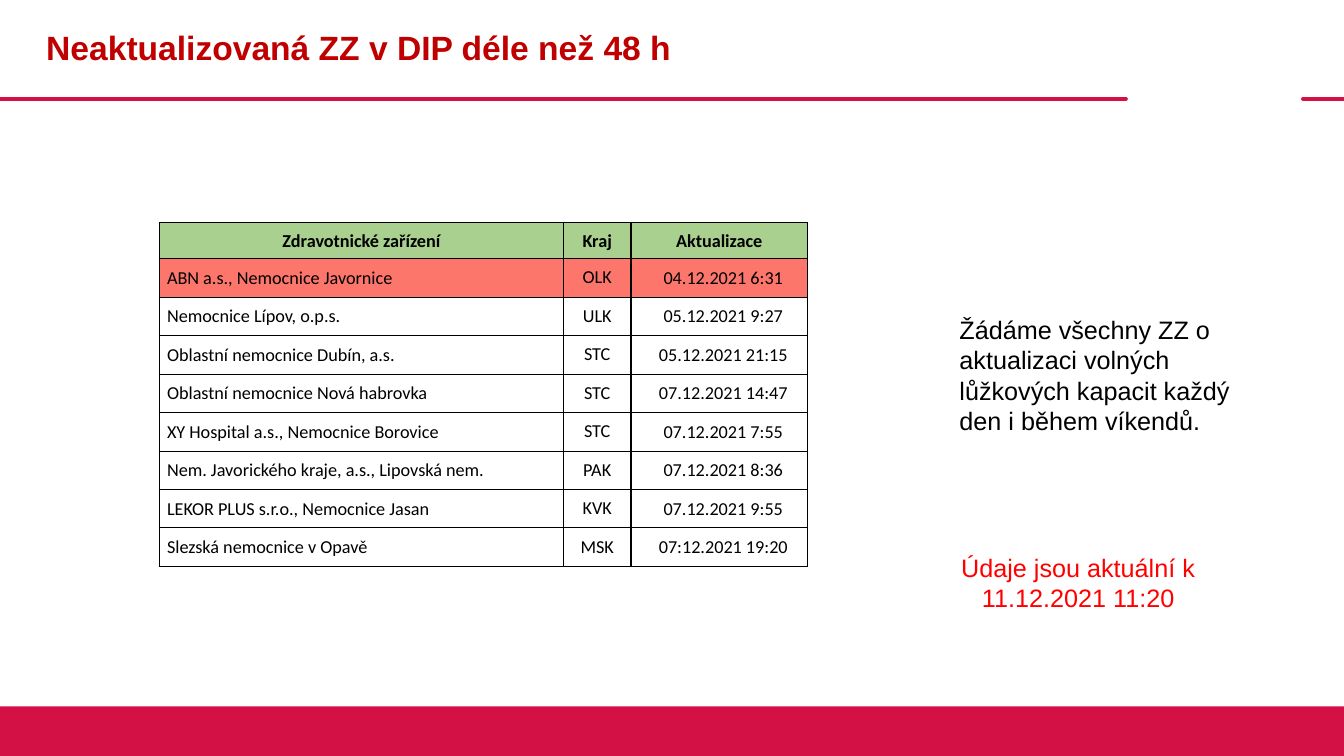
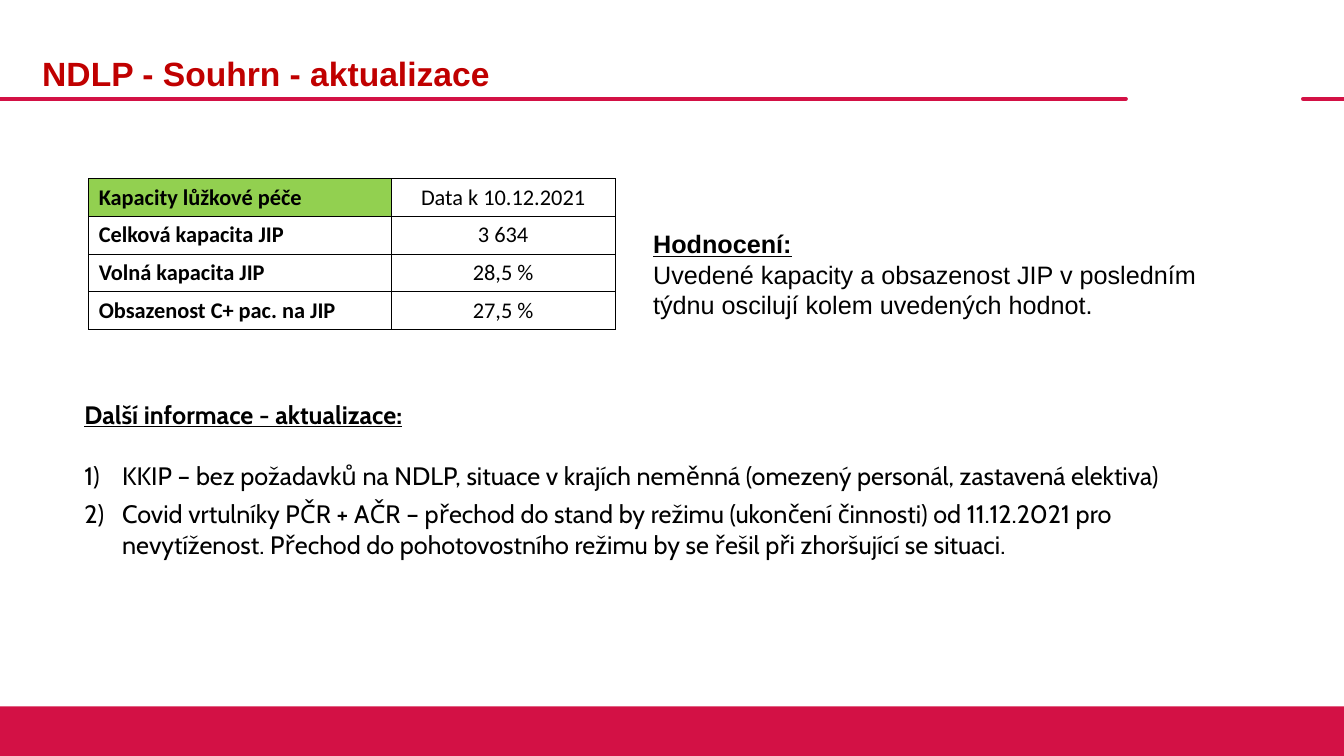
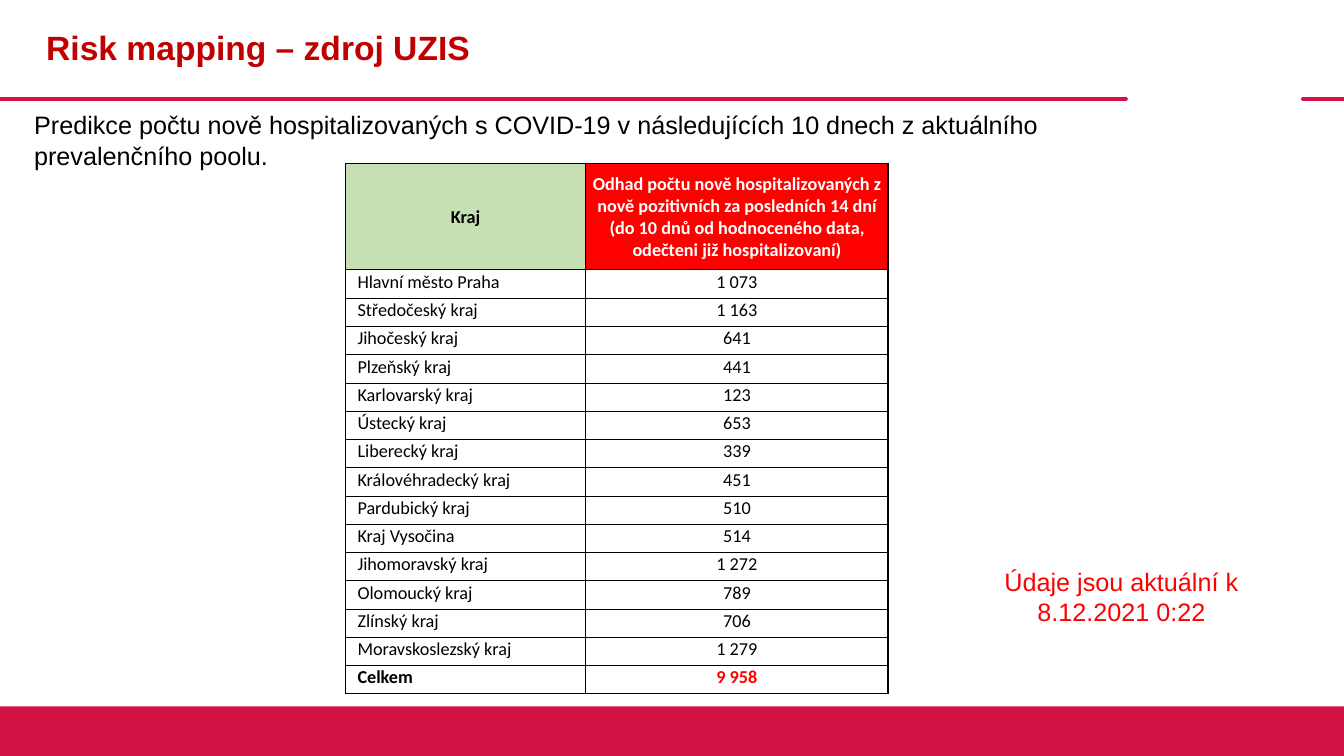
from pptx import Presentation
from pptx.dml.color import RGBColor
from pptx.enum.shapes import MSO_CONNECTOR as Conn, MSO_SHAPE as Shape
from pptx.enum.text import MSO_ANCHOR as Anchor, MSO_AUTO_SIZE as Auto, PP_ALIGN as Align
from pptx.oxml.ns import qn
from pptx.util import Cm, Pt
from lxml.etree import SubElement

WIDTH, HEIGHT = 33.87, 19.05
CRIMSON, TITLE_RED, RED = "D31145", "C00000", "FF0000"
BLACK, WHITE = "000000", "FFFFFF"
TIGHT = (0.03, 0.03, 0.03, 0)
STANDARD = (0.25, 0.13, 0.25, 0.13)


def rgb(value):
    """Turn a hex string into a colour."""
    return RGBColor.from_string(value)


def write(p, text, size=18, font="Arial", color=BLACK, bold=False, underline=False,
          align=Align.LEFT, after=0, line=None, numbered=False):
    """Write formatted text into a paragraph."""
    if numbered:
        pPr = p._p.get_or_add_pPr()
        pPr.set("marL", str(Cm(0.95)))
        pPr.set("indent", str(-Cm(0.95)))
        SubElement(pPr, qn("a:buFont"), typeface="+mj-lt")
        SubElement(pPr, qn("a:buAutoNum"), type="arabicParenR")
    p.alignment = align
    if after:
        p.space_after = Pt(after)
    if line:
        p.line_spacing = line
    r = p.add_run()
    r.text = text
    f = r.font
    f.size, f.name, f.bold, f.underline = Pt(size), font, bold, underline
    f.color.rgb = rgb(color)


def set_borders(cell, left, top, right, bottom):
    """Draw the four black cell borders with widths in points."""
    tcPr = cell._tc.get_or_add_tcPr()
    for side, width in zip("LRTB", (left, right, top, bottom)):
        ln = SubElement(tcPr, qn(f"a:ln{side}"), w=str(Pt(width)))
        fill = SubElement(ln, qn("a:solidFill"))
        SubElement(fill, qn("a:srgbClr"), val=BLACK)


class Deck:
    """Hold the shared style and the current slide."""

    def __init__(self):
        """Open an empty widescreen presentation."""
        self.prs = Presentation()
        self.prs.slide_width, self.prs.slide_height = Cm(WIDTH), Cm(HEIGHT)
        self.s = None

    def slide(self, title, left=0.91, top=0):
        """Start a slide with its title, rules and bottom band."""
        self.s = self.prs.slides.add_slide(self.prs.slide_layouts[5])
        self.rule(0, 28.37)
        self.rule(32.84, WIDTH)
        self.band(17.8)
        sp = self.s.shapes.title
        sp.left, sp.top, sp.width, sp.height = Cm(left), Cm(top), Cm(27.46), Cm(2.49)
        sp.text_frame.vertical_anchor = Anchor.MIDDLE
        write(sp.text_frame.paragraphs[0], title, size=24, color=TITLE_RED, bold=True, line=0.9)

    def rule(self, start, end, y=2.49):
        """Draw a horizontal rule with round ends."""
        sp = self.s.shapes.add_connector(Conn.STRAIGHT, Cm(start), Cm(y), Cm(end), Cm(y))
        sp.line.color.rgb = rgb(CRIMSON)
        sp.line.width = Pt(3)
        spPr = sp._element.spPr
        spPr.find(qn("a:ln")).set("cap", "rnd")
        SubElement(spPr, qn("a:effectLst"))

    def band(self, top):
        """Fill the foot of the slide."""
        sp = self.s.shapes.add_shape(Shape.RECTANGLE, 0, Cm(top), Cm(WIDTH), Cm(HEIGHT - top))
        sp.shadow.inherit = False
        sp.fill.solid()
        sp.fill.fore_color.rgb = rgb(CRIMSON)
        sp.line.fill.background()

    def text(self, left, top, width, height, *paragraphs):
        """Add a text box from pairs of text and format."""
        sp = self.s.shapes.add_textbox(Cm(left), Cm(top), Cm(width), Cm(height))
        tf = sp.text_frame
        tf.word_wrap = True
        tf.auto_size = Auto.SHAPE_TO_FIT_TEXT
        for i, (text, fmt) in enumerate(paragraphs):
            write(tf.add_paragraph() if i else tf.paragraphs[0], text, **fmt)

    def as_of(self, left, top, moment):
        """Add the red note that dates the data."""
        self.text(left, top, 6.48, 1.8,
                  (f"Údaje jsou aktuální k {moment}", dict(color=RED, align=Align.CENTER)))

    def table(self, left, top, cols, heights, rows, look, upright=1, level=0.5, heavy=(0,)):
        """Add a table; look(row, column) gives fill, margins, anchor and text format."""
        frame = self.s.shapes.add_table(len(rows), len(cols), Cm(left), Cm(top),
                                        Cm(sum(cols)), Cm(sum(heights)))
        table = frame.table
        table.first_row = table.horz_banding = False
        for column, width in zip(table.columns, cols):
            column.width = Cm(width)
        for row, height in zip(table.rows, heights):
            row.height = Cm(height)
        for i, row in enumerate(rows):
            above = upright if {i, i - 1} & set(heavy) else level
            below = upright if {i, i + 1} & set(heavy) else level
            for j, text in enumerate(row):
                cell = table.cell(i, j)
                fill, margins, anchor, fmt = look(i, j)
                set_borders(cell, upright, above, upright, below)
                cell.fill.solid()
                cell.fill.fore_color.rgb = rgb(fill)
                (cell.margin_left, cell.margin_top,
                 cell.margin_right, cell.margin_bottom) = map(Cm, margins)
                cell.vertical_anchor = anchor
                write(cell.text_frame.paragraphs[0], text, font="Calibri", **fmt)


def facility_look(i, j):
    """Style the table of facilities."""
    fill = {0: "A9D08E", 1: "FC766C"}.get(i, WHITE)
    body = ((0.2, 0.03, 0.03, 0), (0.03, 0.2, 0.03, 0.2), (0.23, 0.03, 0.03, 0))
    align = Align.LEFT if i and not j else Align.CENTER
    return fill, body[j] if i else TIGHT, Anchor.MIDDLE, dict(size=13, bold=not i, align=align)


def capacity_look(i, j):
    """Style the table of capacities."""
    fmt = dict(size=16, bold=not j, align=Align.CENTER if j else Align.LEFT)
    fill = WHITE if i or j else "92D050"
    return fill, STANDARD, Anchor.MIDDLE if j else Anchor.TOP, fmt


def region_look(i, j):
    """Style the table of regions."""
    if i == 0:
        fmt = dict(size=13, bold=True, align=Align.CENTER, color=WHITE if j else BLACK)
        return RED if j else "C6E0B4", TIGHT, Anchor.MIDDLE, fmt
    total = i == len(REGIONS) - 1
    fmt = dict(size=13, bold=total, align=Align.CENTER if j else Align.LEFT,
               color=RED if total and j else BLACK)
    return WHITE, TIGHT if j else (0.3, 0.03, 0.03, 0.13), Anchor.TOP, fmt


FACILITIES = [
    ("Zdravotnické zařízení", "Kraj", "Aktualizace"),
    ("ABN a.s., Nemocnice Javornice", "OLK", "04.12.2021 6:31"),
    ("Nemocnice Lípov, o.p.s.", "ULK", "05.12.2021 9:27"),
    ("Oblastní nemocnice Dubín, a.s.", "STC", "05.12.2021 21:15"),
    ("Oblastní nemocnice Nová habrovka", "STC", "07.12.2021 14:47"),
    ("XY Hospital a.s., Nemocnice Borovice", "STC", "07.12.2021 7:55"),
    ("Nem. Javorického kraje, a.s., Lipovská nem.", "PAK", "07.12.2021 8:36"),
    ("LEKOR PLUS s.r.o., Nemocnice Jasan", "KVK", "07.12.2021 9:55"),
    ("Slezská nemocnice v Opavě", "MSK", "07:12.2021 19:20"),
]
CAPACITIES = [
    ("Kapacity lůžkové péče", "Data k 10.12.2021"),
    ("Celková kapacita JIP", "3 634"),
    ("Volná kapacita JIP", "28,5 %"),
    ("Obsazenost C+ pac. na JIP", "27,5 %"),
]
REGIONS = [
    ("Kraj", "Odhad počtu nově hospitalizovaných z nově pozitivních za posledních 14 dní "
             "(do 10 dnů od hodnoceného data, odečteni již hospitalizovaní)"),
    ("Hlavní město Praha", "1 073"),
    ("Středočeský kraj", "1 163"),
    ("Jihočeský kraj", "641"),
    ("Plzeňský kraj", "441"),
    ("Karlovarský kraj", "123"),
    ("Ústecký kraj", "653"),
    ("Liberecký kraj", "339"),
    ("Královéhradecký kraj", "451"),
    ("Pardubický kraj", "510"),
    ("Kraj Vysočina", "514"),
    ("Jihomoravský kraj", "1 272"),
    ("Olomoucký kraj", "789"),
    ("Zlínský kraj", "706"),
    ("Moravskoslezský kraj", "1 279"),
    ("Celkem", "9 958"),
]


def main():
    """Build and save the three slides."""
    deck = Deck()

    deck.slide("Neaktualizovaná ZZ v DIP déle než 48 h")
    deck.table(4.01, 5.61, (10.19, 1.7, 4.45), [0.9] + [0.97] * 8, FACILITIES, facility_look)
    deck.as_of(23.93, 13.79, "11.12.2021 11:20")
    deck.text(23.93, 7.8, 7.59, 3.33,
              ("Žádáme všechny ZZ o aktualizaci volných lůžkových kapacit "
               "každý den i během víkendů.", {}))

    deck.slide("NDLP - Souhrn - aktualizace", left=0.81, top=0.66)
    deck.table(2.24, 4.5, (7.62, 5.64), [0.94] * 4, CAPACITIES, capacity_look,
               upright=0.75, level=0.75)
    heading = dict(bold=True, underline=True)
    item = dict(font="Cabin", numbered=True, after=6)
    deck.text(1.88, 9.93, 29.36, 5.31,
              ("Další informace - aktualizace:", dict(heading, font="Cabin", after=22)),
              ("KKIP – bez požadavků na NDLP, situace v krajích neměnná "
               "(omezený personál, zastavená elektiva)", item),
              ("Covid vrtulníky PČR + AČR – přechod do stand by režimu (ukončení činnosti) "
               "od 11.12.2021 pro nevytíženost. Přechod do pohotovostního režimu by se řešil "
               "při zhoršující se situaci.", item))
    deck.text(16.21, 5.64, 14.6, 2.57,
              ("Hodnocení:", heading),
              ("Uvedené kapacity a obsazenost JIP v posledním týdnu oscilují "
               "kolem uvedených hodnot.", {}))

    deck.slide("Risk mapping – zdroj UZIS")
    deck.text(0.61, 2.64, 27.76, 1.8,
              ("Predikce počtu nově hospitalizovaných s COVID-19 v následujících 10 dnech "
               "z aktuálního prevalenčního poolu.", {}))
    deck.table(8.71, 4.11, (6.05, 7.62), [2.69] + [0.7] * 15, REGIONS, region_look,
               heavy=(0, len(REGIONS) - 1))
    deck.as_of(25.02, 14.15, "8.12.2021 0:22")

    deck.prs.save("out.pptx")


if __name__ == "__main__":
    main()
